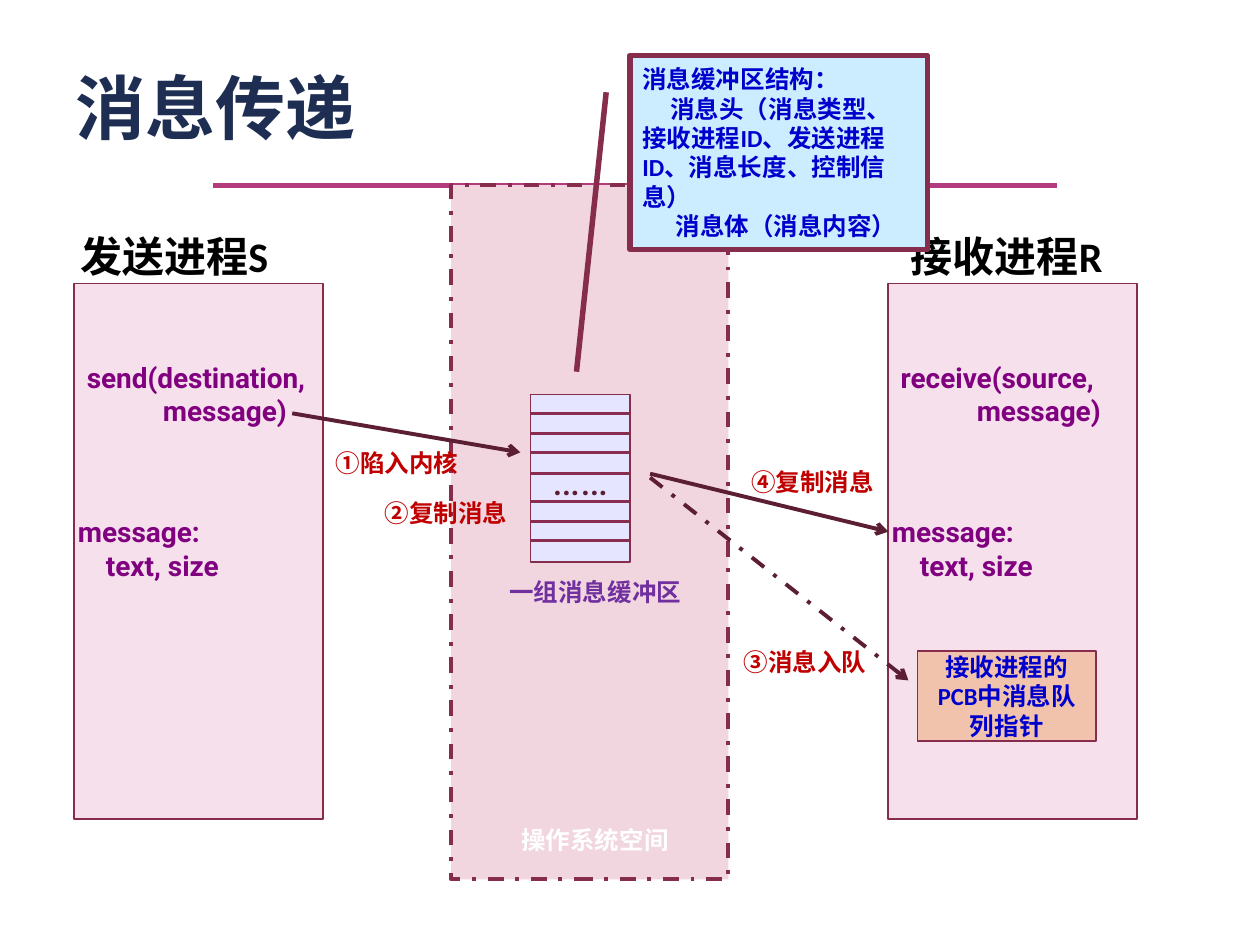
from lxml import etree
from pptx import Presentation
from pptx.dml.color import RGBColor
from pptx.enum.dml import MSO_LINE
from pptx.enum.shapes import MSO_CONNECTOR, MSO_SHAPE
from pptx.enum.text import MSO_ANCHOR as ANCHOR, MSO_AUTO_SIZE as AUTO, PP_ALIGN as ALIGN
from pptx.oxml.ns import qn
from pptx.util import Pt

NAVY = RGBColor(0x1E, 0x2E, 0x53)
MAGENTA = RGBColor(0xB2, 0x3A, 0x7D)
WINE = RGBColor(0x86, 0x2C, 0x4C)
ROW_WINE = RGBColor(0x89, 0x2D, 0x4E)
DARK_WINE = RGBColor(0x5C, 0x1E, 0x34)
PINK = RGBColor(0xF5, 0xE0, 0xEC)
ROSE = RGBColor(0xF1, 0xD6, 0xDF)
LAVENDER = RGBColor(0xE5, 0xE5, 0xFF)
PEACH = RGBColor(0xF1, 0xC3, 0xAD)
SKY = RGBColor(0xCC, 0xEC, 0xFF)
BLACK = RGBColor(0, 0, 0)
WHITE = RGBColor(0xFF, 0xFF, 0xFF)
CODE_PURPLE = RGBColor(0x80, 0x00, 0x80)
LABEL_PURPLE = RGBColor(0x70, 0x30, 0xA0)
BLUE = RGBColor(0x00, 0x00, 0xCC)
RED = RGBColor(0xC0, 0x00, 0x00)
CJK = "Noto Sans CJK SC"


class Diagram:
    """Draws styled elements on one slide; all lengths are in points."""

    def __init__(self, slide):
        self.shapes = slide.shapes

    def fill_text(self, shape, paragraphs, size, color, font="Calibri", bold=True,
                  align=ALIGN.LEFT, anchor=ANCHOR.TOP, wrap=True):
        """Each paragraph is (text, left margin, first-line indent)."""
        frame = shape.text_frame
        frame.word_wrap = wrap
        frame.auto_size = AUTO.NONE if wrap else AUTO.SHAPE_TO_FIT_TEXT
        frame.vertical_anchor = anchor
        for i, (text, margin, indent) in enumerate(paragraphs):
            para = frame.add_paragraph() if i else frame.paragraphs[0]
            para.alignment = align
            props = para._p.get_or_add_pPr()
            props.set("marL", str(Pt(margin)))
            props.set("indent", str(Pt(indent)))
            run = para.add_run()
            run.text = text
            run.font.size, run.font.bold, run.font.name = Pt(size), bold, font
            run.font.color.rgb = color
            etree.SubElement(run._r.get_or_add_rPr(), qn("a:ea")).set("typeface", CJK)

    def text(self, x, y, w, h, paragraphs, size, color, **style):
        box = self.shapes.add_textbox(Pt(x), Pt(y), Pt(w), Pt(h))
        self.fill_text(box, paragraphs, size, color, **style)

    def label(self, x, y, w, words, color, font="Calibri"):
        self.text(x, y, w, 22.5, [(words, 0, 0)], 14, color, font=font,
                  align=ALIGN.CENTER, anchor=ANCHOR.MIDDLE)

    def box(self, x, y, w, h, fill, weight=1, dash=None, kind=MSO_SHAPE.RECTANGLE):
        shape = self.shapes.add_shape(kind, Pt(x), Pt(y), Pt(w), Pt(h))
        shape.shadow.inherit = False
        shape.fill.solid()
        shape.fill.fore_color.rgb = fill
        shape.line.color.rgb = WINE
        shape.line.width = Pt(weight)
        if dash:
            shape.line.dash_style = dash
        return shape

    def line(self, x1, y1, x2, y2, color, weight, dash=None, arrow=False):
        link = self.shapes.add_connector(
            MSO_CONNECTOR.STRAIGHT, Pt(x1), Pt(y1), Pt(x2), Pt(y2))
        link.line.color.rgb = color
        link.line.width = Pt(weight)
        if dash:
            link.line.dash_style = dash
        if arrow:
            outline = link._element.spPr.find(qn("a:ln"))
            etree.SubElement(outline, qn("a:tailEnd")).set("type", "arrow")
        etree.SubElement(link._element.spPr, qn("a:effectLst"))

    def arrow(self, x1, y1, x2, y2, dash=None):
        self.line(x1, y1, x2, y2, DARK_WINE, 2.25, dash, arrow=True)


def main():
    prs = Presentation()
    prs.slide_width, prs.slide_height = Pt(720), Pt(540)
    diagram = Diagram(prs.slides.add_slide(prs.slide_layouts[6]))

    # Title and rule
    diagram.line(121.7, 105.8, 604, 105.8, MAGENTA, 3)
    diagram.text(36, 25.2, 570, 63.4, [("消息传递", 0, 0)], 40, NAVY,
                 font="Arial", anchor=ANCHOR.BOTTOM)

    # Sending and receiving processes
    processes = [(42.5, 38.9, 127.4, "发送进程S", "send(destination,"),
                 (507.6, 513.4, 129.6, "接收进程R", "receive(source,")]
    for left, name_left, name_width, name, call in processes:
        diagram.box(left, 162, 142, 306, PINK)
        diagram.text(name_left, 128.2, name_width, 36, [(name, 0, 0)], 24, BLACK, wrap=False)
        diagram.text(left, 202.3, 142, 46, [(call, 0, 0), ("message)", 43.5, 0)],
                     16, CODE_PURPLE, font="Roboto")
        diagram.text(left - 5, 290.5, 102, 46, [("message:", 0, 0), ("text, size", 16, 0)],
                     16, CODE_PURPLE, font="Roboto")

    # Operating system space
    diagram.box(257.8, 105.8, 158.4, 396.7, ROSE, 2.25, MSO_LINE.DASH_DOT)
    diagram.label(280, 468.8, 120, "操作系统空间", WHITE)

    # Message buffers
    buffers = diagram.box(303.1, 225.4, 56.9, 95.8, LAVENDER)
    diagram.fill_text(buffers, [("……", 0, 0)], 24, DARK_WINE, font="Roboto", bold=False,
                      align=ALIGN.CENTER, anchor=ANCHOR.MIDDLE)
    for row_y in (236.2, 247.7, 258.5, 270.7, 286.6, 298.1, 308.9):
        diagram.line(303.1, row_y, 360, row_y, ROW_WINE, 1.5)
    diagram.label(280.8, 326.9, 118.8, "一组消息缓冲区", LABEL_PURPLE, font=CJK)

    # Queue pointer in the receiver
    pointer = diagram.box(524.2, 372.2, 102.2, 51.1, PEACH)
    diagram.fill_text(pointer, [("接收进程的PCB中消息队列指针", 0, 0)], 14, BLUE,
                      align=ALIGN.CENTER, anchor=ANCHOR.MIDDLE)

    # Message flow
    diagram.arrow(167, 236.2, 297.4, 258.5)
    diagram.arrow(371.5, 272.9, 519.1, 388.8, MSO_LINE.DASH_DOT)
    diagram.arrow(371.5, 270.7, 507.6, 303.8)
    for x, y, width, step in [(184.3, 252.9, 85, "①陷入内核"),
                              (212.4, 281.5, 85, "②复制消息"),
                              (412.6, 366.7, 95, "③消息入队"),
                              (416.9, 264.2, 95, "④复制消息")]:
        diagram.label(x, y, width, step, RED)

    # Buffer structure callout
    callout = diagram.box(360, 31.7, 169.9, 110.9, SKY, 3.15,
                          kind=MSO_SHAPE.LINE_CALLOUT_1)
    for i, value in enumerate((0.19, -0.08, 1.63, -0.18)):
        callout.adjustments[i] = value
    diagram.fill_text(callout, [("消息缓冲区结构：", 0, 0),
                                ("消息头（消息类型、接收进程ID、发送进程ID、消息长度、控制信息）", 0, 16),
                                ("消息体（消息内容）", 0, 19)],
                      14, BLUE, anchor=ANCHOR.MIDDLE)

    prs.save("out.pptx")


if __name__ == "__main__":
    main()
